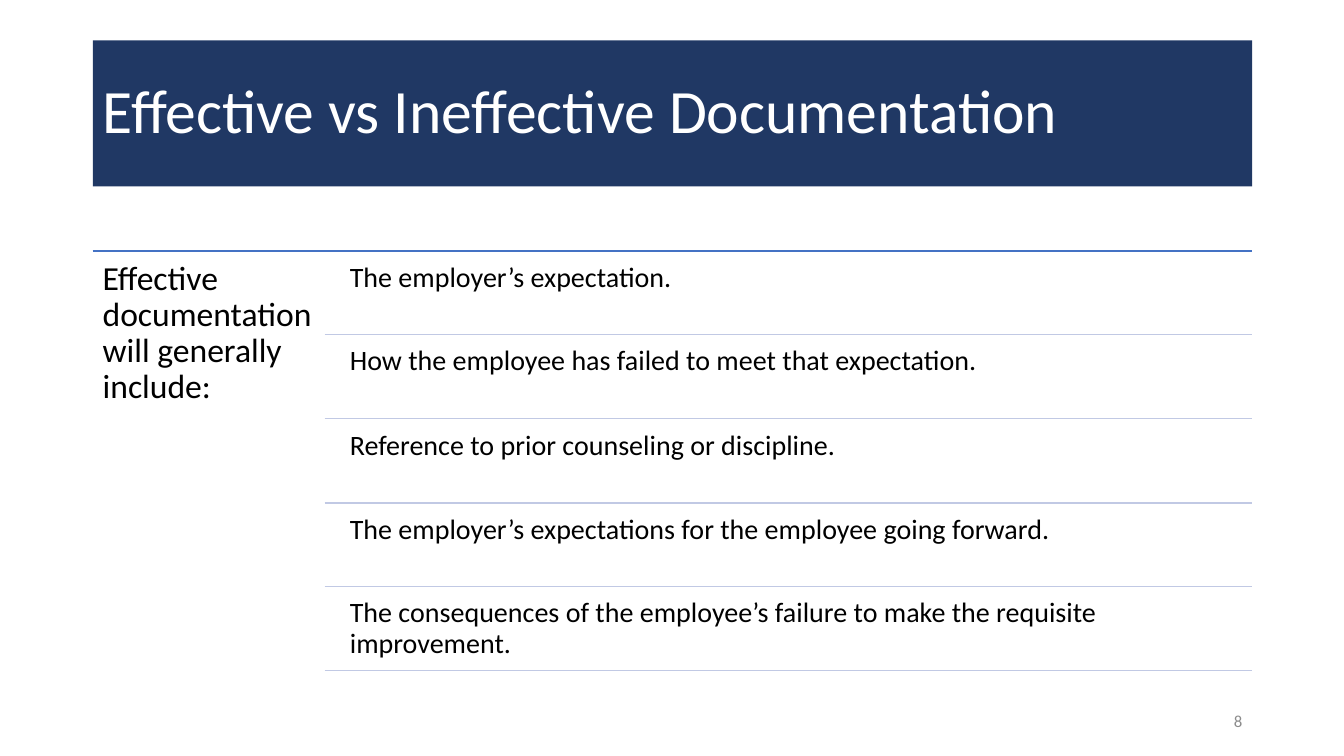
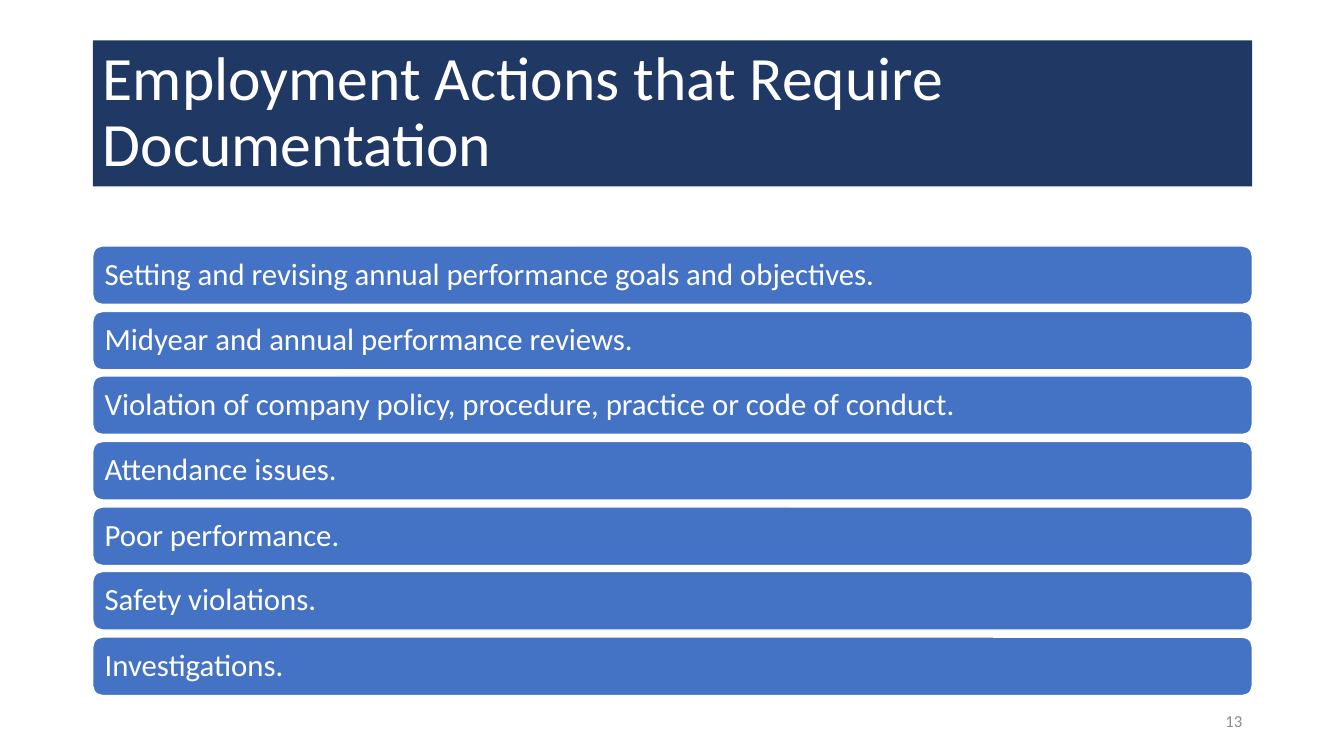
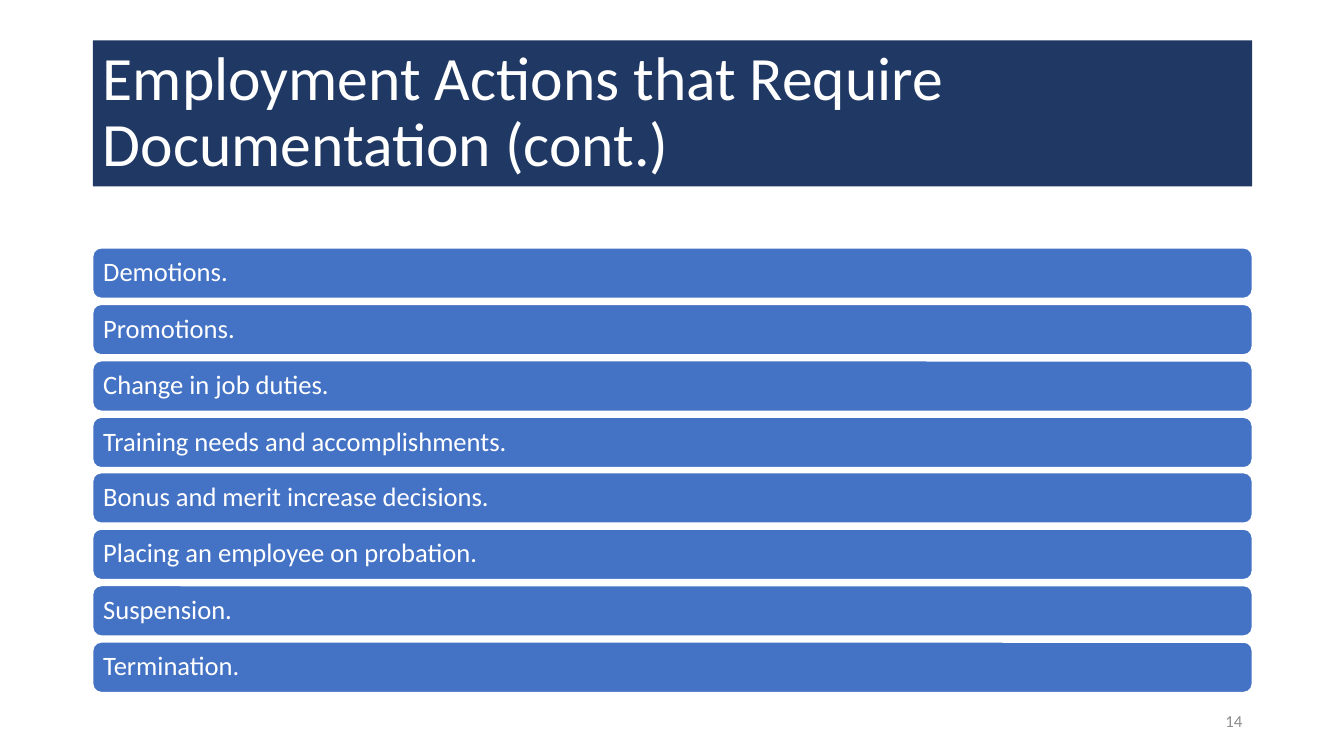
from lxml import etree
from pptx import Presentation
from pptx.dml.color import RGBColor
from pptx.enum import shapes, text
from pptx.oxml import ns
from pptx.util import Emu, Pt

# Shared look: 100 px to the inch
PX = 9144
FONT = "Calibri"
NAVY, BLUE, PALE = "203864", "4472C4", "C1C9E4"
WHITE, BLACK, GREY = "FFFFFF", "000000", "8C8C8C"
LEFT, RIGHT = 92, 1242
WIDTH = RIGHT - LEFT
TITLE_ONLY = 5

EXPECTATIONS = [
    "The employer’s expectation.",
    "How the employee has failed to meet that expectation.",
    "Reference to prior counseling or discipline.",
    "The employer’s expectations for the employee going forward.",
    "The consequences of the employee’s failure to make the requisite improvement.",
]
ACTIONS = [
    "Setting and revising annual performance goals and objectives.",
    "Midyear and annual performance reviews.",
    "Violation of company policy, procedure, practice or code of conduct.",
    "Attendance issues.",
    "Poor performance.",
    "Safety violations.",
    "Investigations.",
]
MORE_ACTIONS = [
    "Demotions.",
    "Promotions.",
    "Change in job duties.",
    "Training needs and accomplishments.",
    "Bonus and merit increase decisions.",
    "Placing an employee on probation.",
    "Suspension.",
    "Termination.",
]


def px(*lengths):
    return [Emu(length * PX) for length in lengths]


def color(value):
    return RGBColor.from_string(value)


def fill(shape, value):
    shape.fill.solid()
    shape.fill.fore_color.rgb = color(value)


def spread(first, last, count):
    """Evenly spaced tops from first to last."""
    return [round(first + i * (last - first) / (count - 1)) for i in range(count)]


def write(shape, words, size, value, insets=(10, 5), anchor=text.MSO_ANCHOR.TOP,
          align=text.PP_ALIGN.LEFT, spacing=0.9):
    frame = shape.text_frame
    frame.word_wrap = True
    frame.auto_size = text.MSO_AUTO_SIZE.NONE
    frame.vertical_anchor = anchor
    across, down = px(*insets)
    frame.margin_left = frame.margin_right = across
    frame.margin_top = frame.margin_bottom = down
    para = frame.paragraphs[0]
    para.text = words
    para.alignment = align
    para.line_spacing = spacing
    para.font.name = FONT
    para.font.size = Pt(size)
    para.font.color.rgb = color(value)


def add_page(deck, title, number):
    page = deck.slides.add_slide(deck.slide_layouts[TITLE_ONLY])
    # Title band
    band = page.shapes.title
    band.left, band.top, band.width, band.height = px(LEFT, 40, WIDTH, 145)
    fill(band, NAVY)
    write(band, title, 44, WHITE, anchor=text.MSO_ANCHOR.MIDDLE)
    # Page number
    box = page.shapes.add_textbox(*px(RIGHT - 300, 695, 300, 40))
    write(box, str(number), 12, GREY, anchor=text.MSO_ANCHOR.MIDDLE,
          align=text.PP_ALIGN.RIGHT, spacing=1.0)
    return page


def add_rule(page, left, top, value):
    rule = page.shapes.add_connector(
        shapes.MSO_CONNECTOR.STRAIGHT, *px(left, top, RIGHT, top))
    rule.line.color.rgb = color(value)
    rule.line.width = Pt(1)
    etree.SubElement(rule._element.spPr, ns.qn("a:effectLst"))


def add_ruled_list(page, heading, items):
    add_rule(page, LEFT, 249, BLUE)
    box = page.shapes.add_textbox(*px(LEFT, 249, 230, 421))
    write(box, heading, 24, BLACK, insets=(10, 10))
    for top, item in zip(spread(253, 586, len(items)), items):
        box = page.shapes.add_textbox(*px(339, top, 903, 79))
        write(box, item, 20, BLACK, insets=(8, 8))
        add_rule(page, LEFT + 230, top + 79, PALE)


def add_bars(page, items, first, last, height, size, inset):
    for top, item in zip(spread(first, last, len(items)), items):
        bar = page.shapes.add_shape(
            shapes.MSO_SHAPE.ROUNDED_RECTANGLE, *px(LEFT, top, WIDTH, height))
        bar.shadow.inherit = False
        fill(bar, BLUE)
        bar.line.color.rgb = color(WHITE)
        bar.line.width = Pt(1)
        write(bar, item, size, WHITE, insets=(inset, inset),
              anchor=text.MSO_ANCHOR.MIDDLE)


def main():
    deck = Presentation()
    deck.slide_width, deck.slide_height = px(1333, 750)

    page = add_page(deck, "Effective vs Ineffective Documentation", 8)
    add_ruled_list(page, "Effective documentation will generally include:", EXPECTATIONS)

    title = "Employment Actions that Require Documentation"
    page = add_page(deck, title, 13)
    add_bars(page, ACTIONS, first=244, last=632, height=58, size=22, inset=9)

    page = add_page(deck, title + " (cont.)", 14)
    add_bars(page, MORE_ACTIONS, first=246, last=637, height=50, size=19, inset=8)

    deck.save("out.pptx")


if __name__ == "__main__":
    main()
